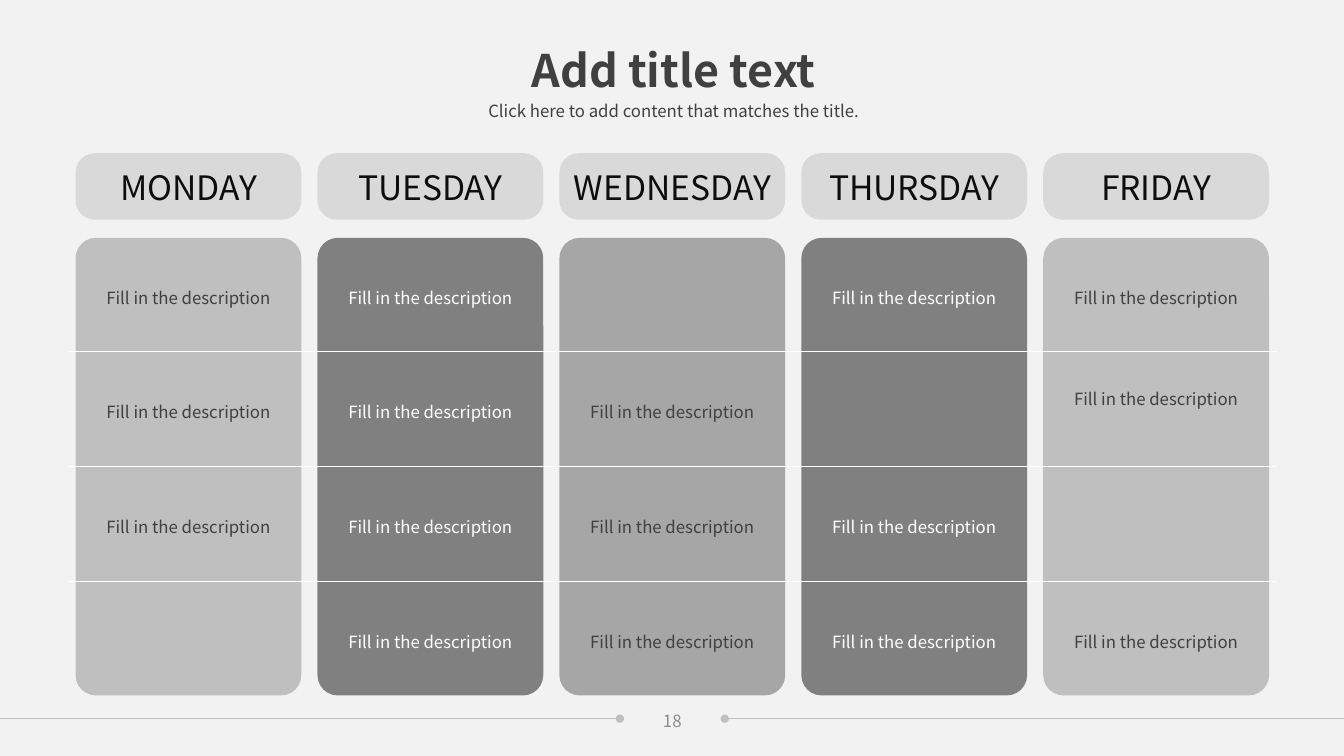
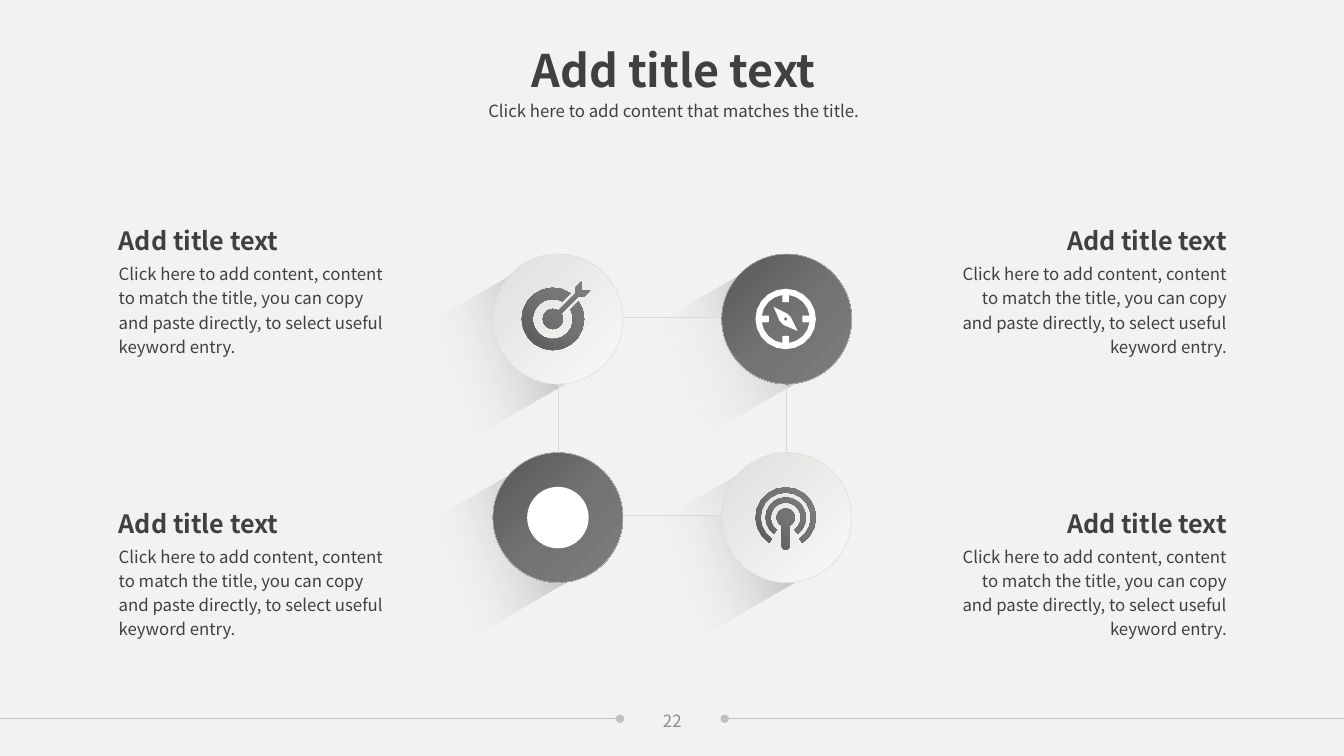
"""Builds a weekday schedule slide and a four-node icon diagram slide."""
import dataclasses
import math

import lxml.etree
import pptx
import pptx.dml.color
import pptx.enum.shapes
import pptx.enum.text
import pptx.oxml.ns
import pptx.util

Inches = pptx.util.Inches
Shape = pptx.enum.shapes.MSO_SHAPE
Align = pptx.enum.text.PP_ALIGN
Anchor = pptx.enum.text.MSO_ANCHOR
qn = pptx.oxml.ns.qn


@dataclasses.dataclass(frozen=True)
class Theme:
    """Colours, gradient stops and type sizes of the deck."""
    font: str = "Noto Sans CJK SC"
    backdrop: str = "F2F2F2"
    ink: str = "404040"
    heading: str = "0D0D0D"
    white: str = "FFFFFF"
    number: str = "8C8C8C"
    rule: str = "BFBFBF"
    pale: str = "D9D9D9"
    silver: str = "BFBFBF"
    mid: str = "A6A6A6"
    dark: str = "808080"
    light_stops: tuple = ((0, "DFDFDD", 100), (100, "F9F9F9", 100))
    dark_stops: tuple = ((0, "575757", 100), (53, "737373", 100), (100, "7E7E7E", 100))
    shadow_stops: tuple = ((0, "808080", 100), (72, "F2F2F2", 0))
    title_size: int = 32
    weekday_size: int = 24
    caption_size: int = 18
    body_size: int = 12


THEME = Theme()
ENTRY = "Fill in the description"
TITLE = "Add title text"
SUBTITLE = "Click here to add content that matches the title."
DETAIL = ("Click here to add content, content to match the title, you can copy "
          "and paste directly, to select useful keyword entry.")


def rgb(value):
    """Return a colour object for a hex value."""
    return pptx.dml.color.RGBColor.from_string(value)


def child(parent, tag, **attributes):
    """Append a drawing element to a parent and return it."""
    return lxml.etree.SubElement(parent, qn(tag), attributes)


def write(frame, text, size, color, align=Align.LEFT, bold=False, spacing=1.0):
    """Put one styled paragraph into a text frame."""
    para = frame.paragraphs[0]
    para.text = text
    para.alignment = align
    para.line_spacing = spacing
    para.font.name = THEME.font
    para.font.size = pptx.util.Pt(size)
    para.font.bold = bold
    para.font.color.rgb = rgb(color)


def add_text(page, bounds, text, size, color, anchor=Anchor.TOP, **style):
    """Add a wrapping text box."""
    frame = page.shapes.add_textbox(*map(Inches, bounds)).text_frame
    frame.word_wrap = True
    frame.vertical_anchor = anchor
    write(frame, text, size, color, **style)


def paint(shape, color, opacity=100, line=None):
    """Give a shape a flat fill and an optional hairline."""
    shape.shadow.inherit = False
    shape.fill.solid()
    shape.fill.fore_color.rgb = rgb(color)
    if opacity < 100:
        tint = shape.element.spPr.find(qn("a:solidFill"))[0]
        child(tint, "a:alpha", val=str(opacity * 1000))
    if line:
        shape.line.color.rgb = rgb(line)
        shape.line.width = pptx.util.Pt(0.25)
    else:
        shape.line.fill.background()


def blend(shape, stops, angle, line=None):
    """Give a shape a linear gradient whose angle runs clockwise."""
    paint(shape, THEME.white, line=line)
    shape.fill.gradient()
    gradient = shape.element.spPr.find(qn("a:gradFill"))
    gradient.clear()
    gradient.set("rotWithShape", "1")
    stop_list = child(gradient, "a:gsLst")
    for position, color, opacity in stops:
        stop = child(stop_list, "a:gs", pos=str(position * 1000))
        tint = child(stop, "a:srgbClr", val=color)
        if opacity < 100:
            child(tint, "a:alpha", val=str(opacity * 1000))
    child(gradient, "a:lin", ang=str(angle * 60000), scaled="0")


def add_shape(page, kind, bounds):
    """Add a preset shape at bounds in inches."""
    return page.shapes.add_shape(kind, *map(Inches, bounds))


def add_header(page, left, top, width):
    """Place the centred title and subtitle."""
    title_width = 3.2
    add_text(page, (left + (width - title_width) / 2, top, title_width, 0.64), TITLE,
             THEME.title_size, THEME.ink, align=Align.CENTER, bold=True)
    add_text(page, (left, top + 0.55, width, 0.31), SUBTITLE, THEME.body_size,
             THEME.ink, align=Align.CENTER, spacing=1.14)


def add_footer(page, number, top, width):
    """Place the dotted rules on both sides of the page number."""
    gap_left, gap_right = 6.15, 7.19
    for edge, dot in ((0, gap_left), (width, gap_right)):
        rule = page.shapes.add_connector(
            pptx.enum.shapes.MSO_CONNECTOR.STRAIGHT,
            Inches(edge), Inches(top), Inches(dot), Inches(top))
        rule.line.color.rgb = rgb(THEME.rule)
        rule.line.width = pptx.util.Pt(0.5)
        child(rule.line._get_or_add_ln(), "a:tailEnd", type="oval")
        child(rule.element.spPr, "a:effectLst")
    add_text(page, (gap_left, top - 0.18, gap_right - gap_left, 0.4), number,
             THEME.body_size, THEME.number, anchor=Anchor.MIDDLE, align=Align.CENTER)


def fill_cell(cell, text, underline, size, color, spacing, lift=0):
    """Write a clear table cell, with a white rule below when asked."""
    cell.fill.background()
    if underline:
        border = lxml.etree.Element(qn("a:lnB"), w="9525")
        child(child(border, "a:solidFill"), "a:srgbClr", val=THEME.white)
        cell._tc.get_or_add_tcPr().insert(0, border)
    if text:
        cell.vertical_anchor = Anchor.MIDDLE
        cell.margin_left = cell.margin_right = cell.margin_top = Inches(0.13)
        cell.margin_bottom = Inches(0.13 + lift)
        write(cell.text_frame, text, size, color, align=Align.CENTER, spacing=spacing)


def add_schedule(page, left, top):
    """Place the weekday cards with the table of entries over them."""
    days = (("MONDAY", THEME.silver, THEME.ink, (1, 2, 3)),
            ("TUESDAY", THEME.dark, THEME.white, (1, 2, 3, 4)),
            ("WEDNESDAY", THEME.mid, THEME.ink, (2, 3, 4)),
            ("THURSDAY", THEME.dark, THEME.white, (1, 3, 4)),
            ("FRIDAY", THEME.silver, THEME.ink, (1, 2, 4)))
    pitch, head_height, row_height, rows = 2.4, 1.02, 1.14, 4
    cards = ((0.19, 0.66, 0.29), (1.03, 4.54, 0.09))
    for column, (_, color, _, _) in enumerate(days):
        for (offset, height, rounding), fill in zip(cards, (THEME.pale, color)):
            card = add_shape(page, Shape.ROUNDED_RECTANGLE,
                             (left + column * pitch + 0.08, top + offset, 2.24, height))
            card.adjustments[0] = rounding
            paint(card, fill)

    bounds = (left, top, pitch * len(days), head_height + row_height * rows)
    table = page.shapes.add_table(rows + 1, len(days), *map(Inches, bounds)).table
    table.first_row = table.horz_banding = False
    style = table._tbl.tblPr.find(qn("a:tableStyleId"))
    style.text = "{2D5ABB26-0587-4C30-8999-92F81FD0307C}"
    for index, row in enumerate(table.rows):
        row.height = Inches(row_height if index else head_height)
    for column, (day, _, ink, filled) in enumerate(days):
        table.columns[column].width = Inches(pitch)
        fill_cell(table.cell(0, column), day, False, THEME.weekday_size, THEME.heading, 1.0)
        for row in range(1, rows + 1):
            lift = 0.26 if (day, row) == ("FRIDAY", 2) else 0
            fill_cell(table.cell(row, column), ENTRY if row in filled else "",
                      row < rows, THEME.body_size, ink, 1.2, lift)


def arc(radius, start=0, end=360, center=(0, 0)):
    """Return points along an arc, with degrees running clockwise."""
    steps = max(1, round(abs(end - start) / 18))
    angles = [math.radians(start + (end - start) * step / steps)
              for step in range(steps + 1)]
    return [(center[0] + radius * math.cos(angle), center[1] + radius * math.sin(angle))
            for angle in angles]


def open_ring(outer, inner, opening, outer_gap, inner_gap):
    """Return a ring outline with a gap around the opening direction."""
    return (arc(outer, opening + outer_gap, opening + 360 - outer_gap)
            + arc(inner, opening + 360 - inner_gap, opening + inner_gap))


def target_icon():
    """Return the outlines of a target hit by an arrow."""
    arrow = [(0.22, -0.25), (0.22, -0.31), (0.28, -0.37), (0.28, -0.28),
             (0.37, -0.28), (0.31, -0.22), (0.25, -0.22)]
    return [open_ring(0.31, 0.2, -45, 10.4, 16.3), arc(0.1, -33, 303) + arrow]


def compass_icon():
    """Return the outlines of a compass."""
    dial = []
    for quarter in range(0, 360, 90):
        dial += arc(0.24, quarter + 8, quarter + 82)
        dial += arc(0.17, quarter + 79, quarter + 101)
    needle = [(-0.12, -0.12), (0.02, -0.05), (0.05, -0.02),
              (0.12, 0.12), (-0.02, 0.06), (-0.06, 0.02)]
    pivot = [(-0.02, 0), (0, -0.02), (0.02, 0), (0, 0.02)]
    return [arc(0.3), dial, needle, pivot]


def podcast_icon():
    """Return the outlines of a broadcasting microphone."""
    stem = arc(0.04, 0, 180, (0, 0.28))
    return [open_ring(0.3, 0.25, 90, 33, 33), open_ring(0.2, 0.15, 90, 36, 36),
            arc(0.09, 117, 423) + stem]


def add_outline(page, center, contours):
    """Add one freeform made of closed contours around a center."""
    placed = [[(Inches(center[0] + x), Inches(center[1] + y)) for x, y in contour]
              for contour in contours]
    builder = page.shapes.build_freeform(*placed[0][0], scale=1.0)
    for index, contour in enumerate(placed):
        if index:
            builder.move_to(*contour[0])
        builder.add_line_segments(contour[1:], close=True)
    return builder.convert_to_shape()


def add_diagram(page, left, top):
    """Place four linked discs with long shadows and icons."""
    across, down, size, dot = 2.27, 1.97, 1.29, 0.61
    corners = [(left + x, top + y) for y in (0, down) for x in (0, across)]
    icons = ((target_icon, False, -0.05), (compass_icon, True, -0.01),
             (None, True, 0), (podcast_icon, False, -0.01))
    for x, y in corners:
        shadow = add_shape(page, Shape.RECTANGLE, (x - 0.84, y + 0.42, 1.65, 1.2))
        shadow.rotation = 330
        blend(shadow, THEME.shadow_stops, 190)
    link = add_shape(page, Shape.RECTANGLE,
                     (left + size / 2, top + size / 2 - 0.02, across, down))
    paint(link, THEME.backdrop, opacity=40, line=THEME.pale)
    for (x, y), (_, is_dark, _) in zip(corners, icons):
        disc = add_shape(page, Shape.OVAL, (x, y, size, size))
        blend(disc, THEME.dark_stops if is_dark else THEME.light_stops, 45, THEME.pale)
    for (x, y), (icon, is_dark, shift) in zip(corners, icons):
        center_x, center_y = x + size / 2 + shift, y + size / 2
        if icon:
            symbol = add_outline(page, (center_x, center_y), icon())
        else:
            symbol = add_shape(page, Shape.OVAL,
                               (center_x - dot / 2, center_y - dot / 2, dot, dot))
        if is_dark:
            paint(symbol, THEME.white)
        else:
            blend(symbol, THEME.dark_stops, 315)


def add_caption(page, left, top, align):
    """Place a bold caption above its description."""
    width, title_width = 2.83, 2.28
    indent = width - title_width if align == Align.RIGHT else 0
    add_text(page, (left, top + 0.4, width, 1.05), DETAIL, THEME.body_size, THEME.ink,
             align=align, spacing=1.2)
    add_text(page, (left + indent, top, title_width, 0.43), TITLE, THEME.caption_size,
             THEME.ink, align=align, bold=True, spacing=1.2)


def add_page(deck, number):
    """Add a blank slide with the shared header and footer."""
    page = deck.slides.add_slide(deck.slide_layouts[6])
    add_footer(page, number, 7.13, 40 / 3)
    add_header(page, 4.32, 0.37, 4.73)
    return page


def main():
    """Build and save the deck."""
    deck = pptx.Presentation()
    deck.slide_width, deck.slide_height = Inches(40 / 3), Inches(7.5)
    backdrop = deck.slide_master.background.fill
    backdrop.solid()
    backdrop.fore_color.rgb = rgb(THEME.backdrop)

    add_schedule(add_page(deck, "18"), 0.67, 1.33)

    page = add_page(deck, "22")
    add_diagram(page, 4.89, 2.52)
    for left, align in ((1.08, Align.LEFT), (9.44, Align.RIGHT)):
        for top in (2.13, 4.93):
            add_caption(page, left, top, align)
    deck.save("out.pptx")


if __name__ == "__main__":
    main()
